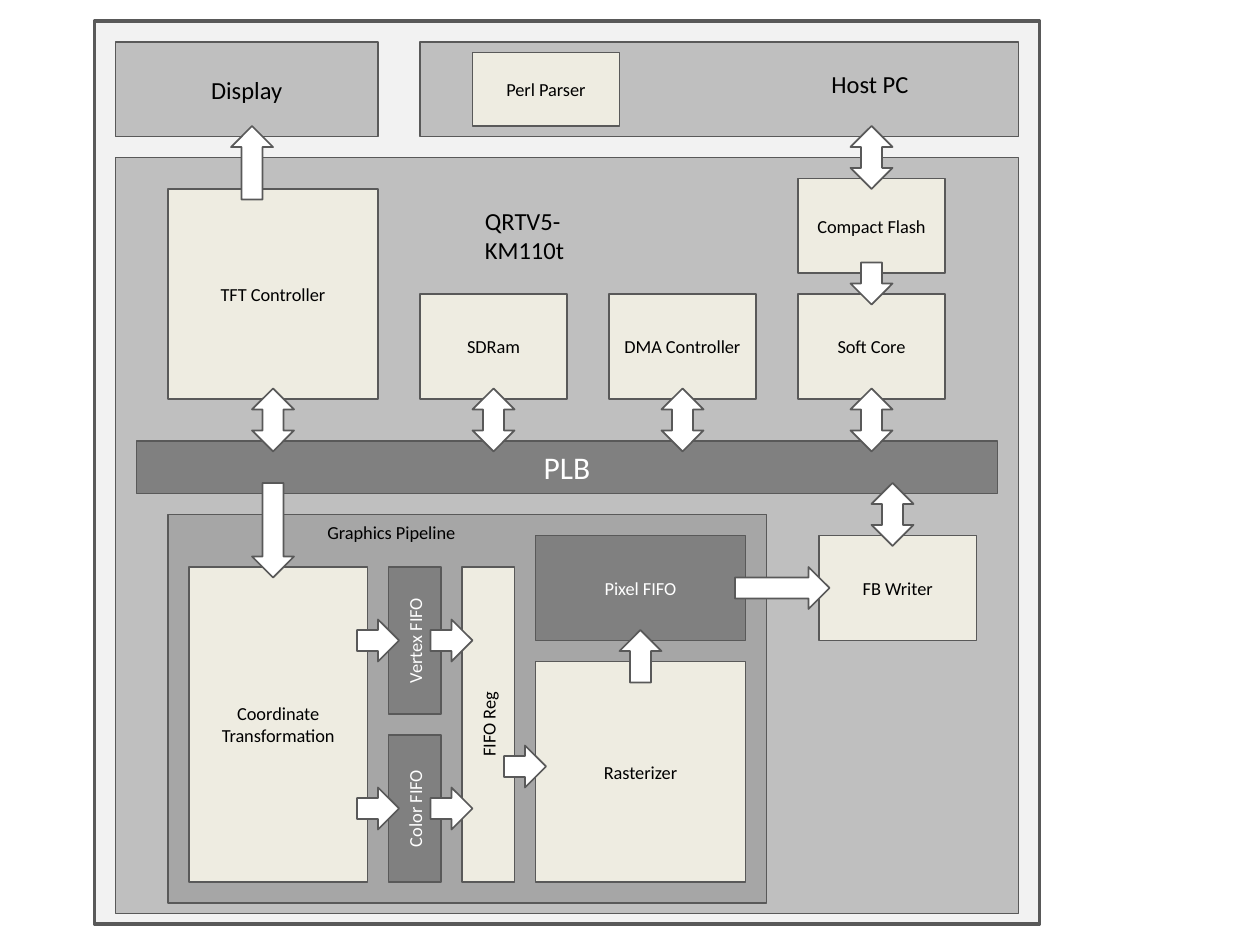
from pptx import Presentation
from pptx.dml.color import RGBColor
from pptx.enum.shapes import MSO_SHAPE
from pptx.enum.text import MSO_ANCHOR, MSO_AUTO_SIZE, PP_ALIGN
from pptx.util import Cm, Pt

GRID = 2.54 / 12  # every block sits on a grid of twelve steps to the inch
FONT = "Calibri"
COLORS = {
    "frame": "F2F2F2",
    "system": "BFBFBF",
    "pipeline": "A6A6A6",
    "bus": "808080",
    "module": "EEECE1",
    "arrow": "FFFFFF",
    "line": "595959",
    "dark": "000000",
    "light": "FFFFFF",
}
ROTATION = {"right": 0, "down": 90, "up": 270, "both": 90}
ARROW_WIDTH = 4

# text, left, top, width, height in grid steps
MODULES = [
    ("Coordinate Transformation", 18, 54, 17, 30),
    ("Rasterizer", 51, 63, 20, 21),
    ("FB Writer", 78, 51, 15, 10),
    ("TFT Controller", 16, 18, 20, 20),
    ("SDRam", 40, 28, 14, 10),
    ("DMA Controller", 58, 28, 14, 10),
    ("Soft Core", 76, 28, 14, 10),
    ("Compact Flash", 76, 17, 14, 9),
    ("Perl Parser", 45, 5, 14, 7),
]

# direction, centre x, centre y, length in grid steps
ARROWS = [
    ("right", 50, 73, 4),
    ("up", 61, 62.5, 5),
    ("down", 26, 50.5, 9),
    ("right", 74.5, 56, 9),
    ("both", 85, 49, 6),
    ("down", 83, 27, 4),
    ("up", 24, 15.5, 7),
    ("both", 83, 15, 6),
]
FIFO_ARROWS = [("right", x, y, 4) for x in (36, 43) for y in (61, 77)]
BUS_ARROWS = [("both", x, 40, 6) for x in (26, 47, 65, 83)]


def color(name):
    return RGBColor.from_string(COLORS[name])


def grid(*steps):
    return [Cm(step * GRID) for step in steps]


def write(tf, text, size=10.5, ink="dark", align=PP_ALIGN.CENTER):
    p = tf.paragraphs[0]
    p.alignment = align
    r = p.add_run()
    r.text = text
    r.font.name = FONT
    r.font.size = Pt(size)
    r.font.color.rgb = color(ink)


def add_shape(s, kind, x, y, w, h, fill, rotation=0, line=1):
    """Add a shape that covers the given area once it has been rotated."""
    if rotation in (90, 270):
        x, y, w, h = x + (w - h) / 2, y + (h - w) / 2, h, w
    sp = s.shapes.add_shape(kind, *grid(x, y, w, h))
    sp.rotation = rotation
    sp.shadow.inherit = False
    sp.fill.solid()
    sp.fill.fore_color.rgb = color(fill)
    sp.line.color.rgb = color("line")
    sp.line.width = Pt(line)
    return sp


def add_box(s, area, fill, text=None, rotation=0, line=1, **style):
    sp = add_shape(s, MSO_SHAPE.FLOWCHART_PROCESS, *area, fill, rotation, line)
    if text:
        tf = sp.text_frame
        tf.word_wrap = True
        tf.vertical_anchor = MSO_ANCHOR.MIDDLE
        write(tf, text, **style)


def add_arrow(s, direction, cx, cy, length):
    kind = MSO_SHAPE.LEFT_RIGHT_ARROW if direction == "both" else MSO_SHAPE.RIGHT_ARROW
    w, h = (length, ARROW_WIDTH) if direction == "right" else (ARROW_WIDTH, length)
    add_shape(s, kind, cx - w / 2, cy - h / 2, w, h, "arrow", ROTATION[direction])


def add_label(s, area, text, wrap=False, **style):
    tf = s.shapes.add_textbox(*grid(*area)).text_frame
    tf.word_wrap = wrap
    tf.auto_size = MSO_AUTO_SIZE.SHAPE_TO_FIT_TEXT
    write(tf, text, align=PP_ALIGN.LEFT, **style)


def main():
    prs = Presentation()
    prs.slide_width, prs.slide_height = Cm(25.4), Cm(19.05)
    s = prs.slides.add_slide(prs.slide_layouts[6])

    add_box(s, (9, 2, 90, 86), "frame", line=2)
    add_box(s, (11, 15, 86, 72), "system")
    add_box(s, (40, 4, 57, 9), "system")
    add_box(s, (11, 4, 25, 9), "system", "Display", size=14)
    add_box(s, (16, 49, 57, 37), "pipeline")
    add_box(s, (13, 42, 82, 5), "bus", "PLB", size=18, ink="light")

    for text, *area in MODULES:
        add_box(s, area, "module", text)
    for text, top in (("Vertex FIFO", 54), ("Color FIFO", 70)):
        add_box(s, (37, top, 5, 14), "bus", text, rotation=270, ink="light")
    add_box(s, (44, 54, 5, 30), "module", "FIFO Reg", rotation=270)
    add_box(s, (51, 51, 20, 10), "bus", "Pixel FIFO", ink="light")

    add_label(s, (30, 49, 19.3, 3.35), "Graphics Pipeline", wrap=True)
    add_label(s, (45, 19, 16.2, 4.05), "QRTV5-KM110t", size=14)
    add_label(s, (78, 6, 9.8, 4.05), "Host PC", size=14)

    for arrow in ARROWS + FIFO_ARROWS + BUS_ARROWS:
        add_arrow(s, *arrow)

    prs.save("out.pptx")


if __name__ == "__main__":
    main()
